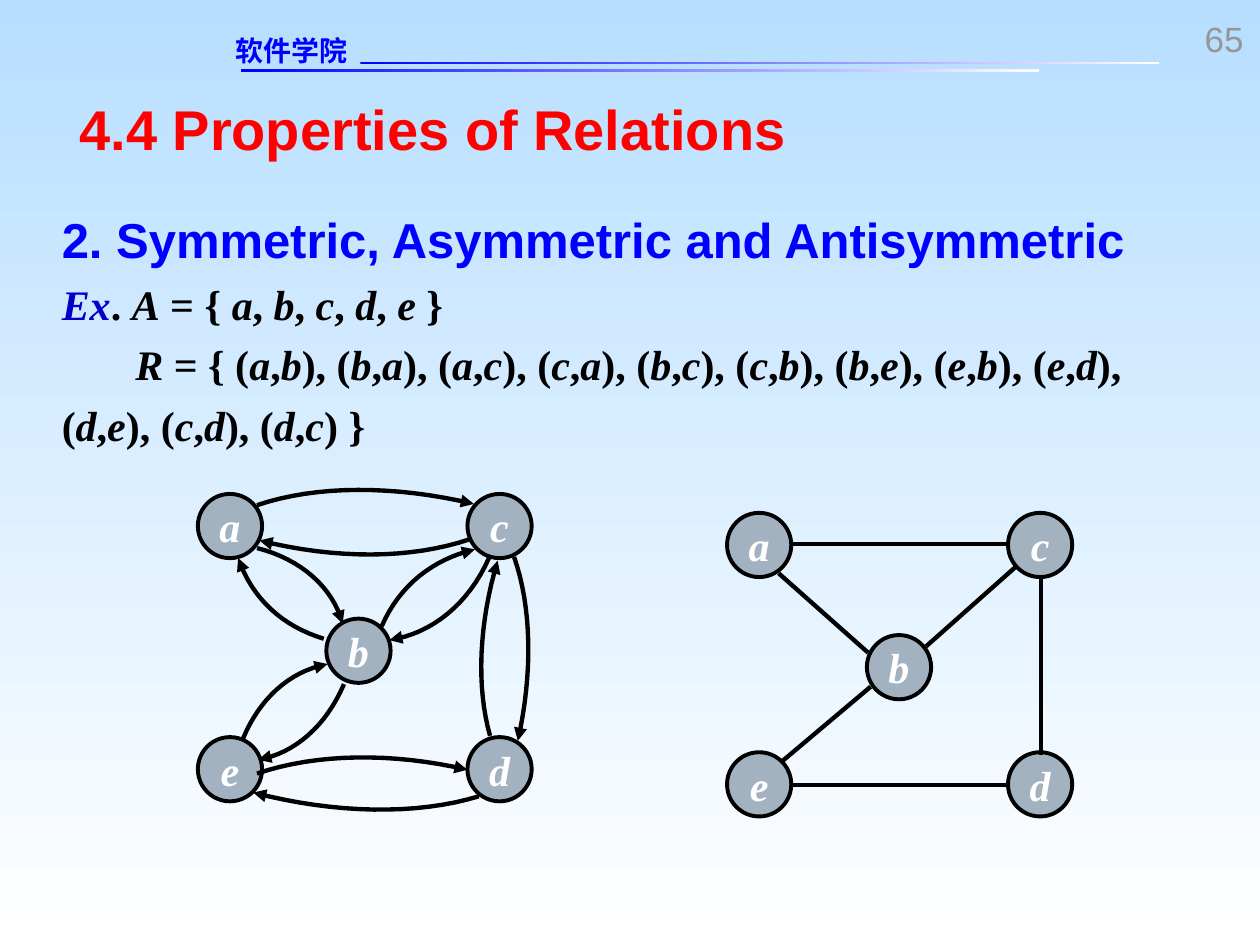
from itertools import groupby

from pptx import Presentation, util as u
from pptx.dml import color
from pptx.enum import shapes, text
from pptx.oxml import ns, xmlchemy

Inches, Pt = u.Inches, u.Pt


def rgb(value):
    return color.RGBColor.from_string(value)


def style_font(font, name, size, hex_color, bold=False, italic=False):
    font.name, font.size = name, Pt(size)
    font.bold, font.italic = bold, italic
    font.color.rgb = rgb(hex_color)


presentation = Presentation()
presentation.slide_width, presentation.slide_height = Inches(10), Inches(7.5)
slide = presentation.slides.add_slide(presentation.slide_layouts[1])
title, body = slide.placeholders

bars = []
for left, top in [(1.91, 0.55), (2.86, 0.49)]:
    bar = slide.shapes.add_shape(shapes.MSO_SHAPE.RECTANGLE, Inches(left),
                                 Inches(top), Inches(6.34), Inches(0.02))
    bar.shadow.inherit = False
    bar.line.fill.background()
    bars.append(bar)

gradients = [(slide.background.fill, 270, "B7DEFF", "FFFFFF")]
gradients += [(bar.fill, 0, "0000FF", "FFFFFF") for bar in bars]
for fill, angle, *colors in gradients:
    fill.gradient()
    fill.gradient_angle = angle
    for stop, position, hex_color in zip(fill.gradient_stops, (0, 1), colors):
        stop.position = position
        stop.color.rgb = rgb(hex_color)

college = slide.shapes.add_textbox(Inches(1.87), Inches(0.27), Inches(1.45), Inches(0.27))
number = slide.shapes.add_textbox(Inches(9.12), Inches(0.14), Inches(0.75), Inches(0.33))
title.left, title.top, title.width, title.height = map(Inches, (0.63, 0.75, 8.95, 0.53))
body.left, body.top, body.width, body.height = map(Inches, (0.49, 1.57, 9.03, 2))

LEFT, RIGHT = text.PP_ALIGN.LEFT, text.PP_ALIGN.RIGHT
for shape, words, align, name, size, hex_color, bold in [
    (college, "软件学院", LEFT, "DejaVu Sans", 16, "0000FF", True),
    (number, "65", RIGHT, "Arial", 20, "969696", False),
    (title, "4.4 Properties of Relations", LEFT, "Arial", 32, "FF0000", True),
    (body, "2. Symmetric, Asymmetric and Antisymmetric", LEFT, "Arial", 28, "0000FF", True),
]:
    frame = shape.text_frame
    frame.text = words
    frame.word_wrap = True
    frame.auto_size = text.MSO_AUTO_SIZE.NONE
    frame.margin_left = frame.margin_right = frame.margin_top = frame.margin_bottom = 0
    frame.paragraphs[0].alignment = align
    style_font(frame.paragraphs[0].runs[0].font, name, size, hex_color, bold)

for example in [
    "Ex. A = { a, b, c, d, e }",
    "\t R = { (a,b), (b,a), (a,c), (c,a), (b,c), (c,b), (b,e), (e,b), (e,d), "
    "(d,e), (c,d), (d,c) }",
]:
    paragraph = body.text_frame.add_paragraph()
    for is_variable, letters in groupby(example, str.isalpha):
        run = paragraph.add_run()
        run.text = "".join(letters)
        style_font(run.font, "Times New Roman", 24,
                   "0000CC" if run.text == "Ex" else "000000", True, is_variable)

for paragraph in body.text_frame.paragraphs:
    paragraph.line_spacing = 1.2
    paragraph.space_before = Pt(0)
    properties = paragraph._p.get_or_add_pPr()
    properties.set("marL", "0")
    properties.set("indent", "0")
    xmlchemy.OxmlElement("a:buNone")
    properties.append(xmlchemy.OxmlElement("a:buNone"))
    tabs = xmlchemy.OxmlElement("a:tabLst")
    tab = xmlchemy.OxmlElement("a:tab")
    tab.set("pos", str(Inches(1)))
    tab.set("algn", "l")
    tabs.append(tab)
    properties.append(tabs)

NODE_SIZE = 0.51
directed_nodes = {"a": (1.57, 3.92), "c": (3.71, 3.92), "b": (2.59, 4.91),
                  "d": (3.71, 5.85), "e": (1.57, 5.85)}
undirected_nodes = {"a": (5.77, 4.07), "c": (8, 4.07), "b": (6.88, 5.04),
                    "d": (8, 5.97), "e": (5.77, 5.97)}
for nodes in (directed_nodes, undirected_nodes):
    for letter, (left, top) in nodes.items():
        node = slide.shapes.add_shape(shapes.MSO_SHAPE.OVAL, Inches(left), Inches(top),
                                      Inches(NODE_SIZE), Inches(NODE_SIZE))
        node.shadow.inherit = False
        node.fill.solid()
        node.fill.fore_color.rgb = rgb("A3B2C1")
        node.line.color.rgb = rgb("000000")
        node.line.width = Pt(2.25)
        node.text_frame.text = letter
        node.text_frame.word_wrap = False
        node.text_frame.vertical_anchor = text.MSO_ANCHOR.MIDDLE
        paragraph = node.text_frame.paragraphs[0]
        paragraph.alignment = text.PP_ALIGN.CENTER
        style_font(paragraph.runs[0].font, "Times New Roman", 24, "FFFFFF", True, True)

arrow_curves = [
    [(2.72, 4.95), (2.64, 4.66), (2.39, 4.44), (2.04, 4.35)],
    [(1.89, 4.43), (2, 4.75), (2.24, 4.97), (2.57, 5.07)],
    [(3.71, 6.11), (3.11, 5.97), (2.51, 5.98), (2.04, 6.14)],
    [(3.09, 5.08), (3.43, 5.03), (3.72, 4.79), (3.88, 4.43)],
    [(3.77, 4.36), (3.43, 4.44), (3.17, 4.65), (3.03, 4.97)],
    [(2.05, 6.03), (2.34, 5.98), (2.59, 5.76), (2.73, 5.43)],
    [(2.6, 5.27), (2.29, 5.33), (2.06, 5.55), (1.93, 5.86)],
    [(2.01, 6.29), (2.66, 6.46), (3.31, 6.47), (3.8, 6.32)],
    [(3.76, 4), (3.13, 3.85), (2.51, 3.85), (2.04, 4.01)],
    [(2.06, 4.29), (2.66, 4.44), (3.26, 4.44), (3.73, 4.28)],
    [(3.95, 4.45), (3.8, 4.95), (3.78, 5.45), (3.89, 5.84)],
    [(4.11, 5.88), (4.23, 5.34), (4.22, 4.82), (4.08, 4.42)],
]
STEPS = 16
edges = []
for curve in arrow_curves:
    points = []
    for step in range(STEPS + 1):
        t = step / STEPS
        weights = ((1 - t) ** 3, 3 * t * (1 - t) ** 2, 3 * t ** 2 * (1 - t), t ** 3)
        points.append(tuple(Inches(sum(w * value for w, value in zip(weights, axis)))
                            for axis in zip(*curve)))
    builder = slide.shapes.build_freeform(*points[0])
    builder.add_line_segments(points[1:], close=False)
    arrow = builder.convert_to_shape()
    arrow.shadow.inherit = False
    arrow.fill.background()
    edges.append((arrow, True))

for ends in [(6.28, 4.32, 8.01, 4.32), (6.28, 6.23, 8.01, 6.23), (8.26, 5.99, 8.26, 4.57),
             (6.89, 5.18, 6.18, 4.55), (7.35, 5.13, 8.06, 4.5), (6.21, 6.04, 6.91, 5.45)]:
    link = slide.shapes.add_connector(shapes.MSO_CONNECTOR.STRAIGHT, *map(Inches, ends))
    edges.append((link, False))

for edge, directed in edges:
    edge.line.color.rgb = rgb("000000")
    edge.line.width = Pt(2.5)
    if directed:
        head = xmlchemy.OxmlElement("a:headEnd")
        head.set("type", "triangle")
        edge.line._get_or_add_ln().append(head)
    else:
        edge._element.find(ns.qn("p:spPr")).append(xmlchemy.OxmlElement("a:effectLst"))

presentation.save("out.pptx")
